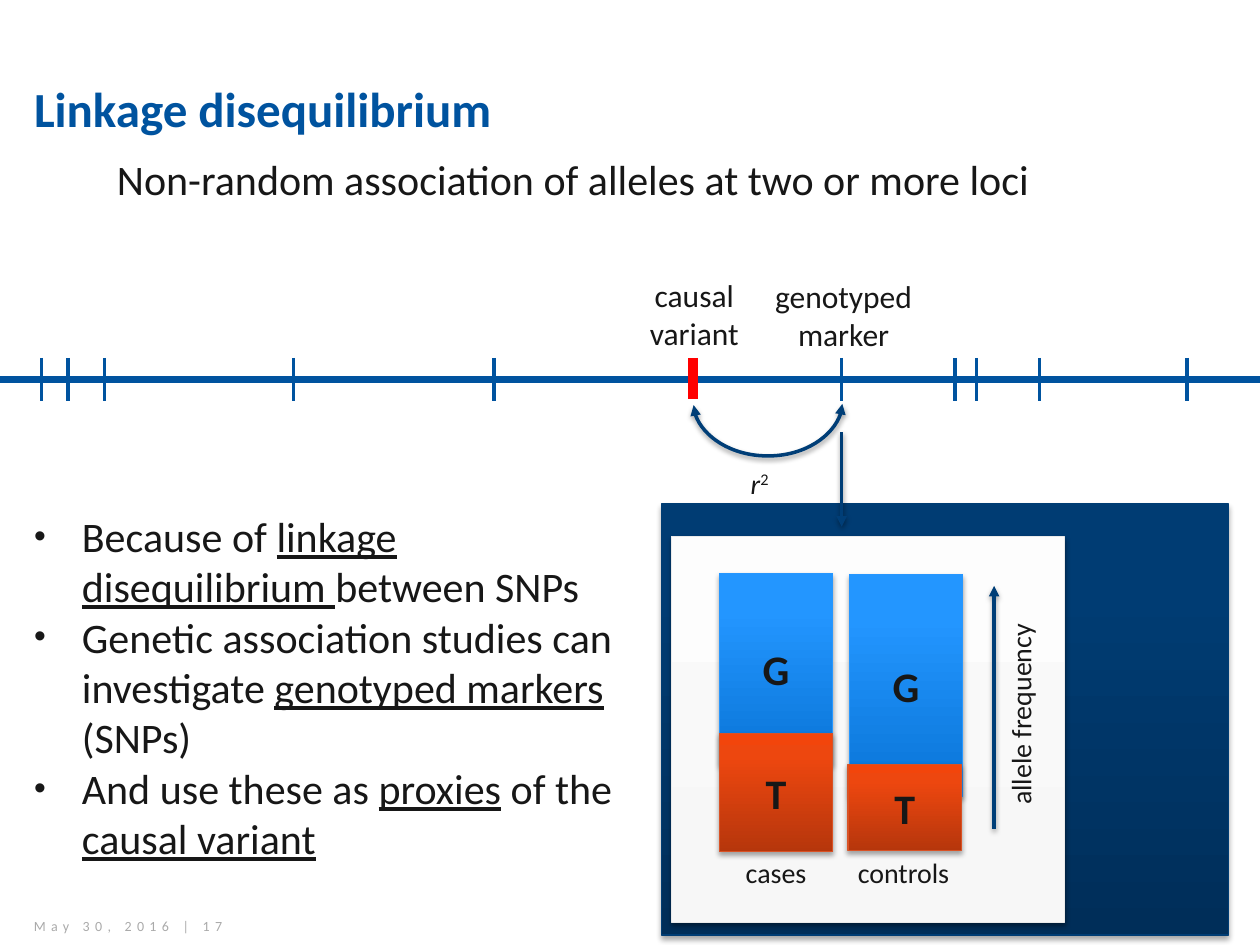
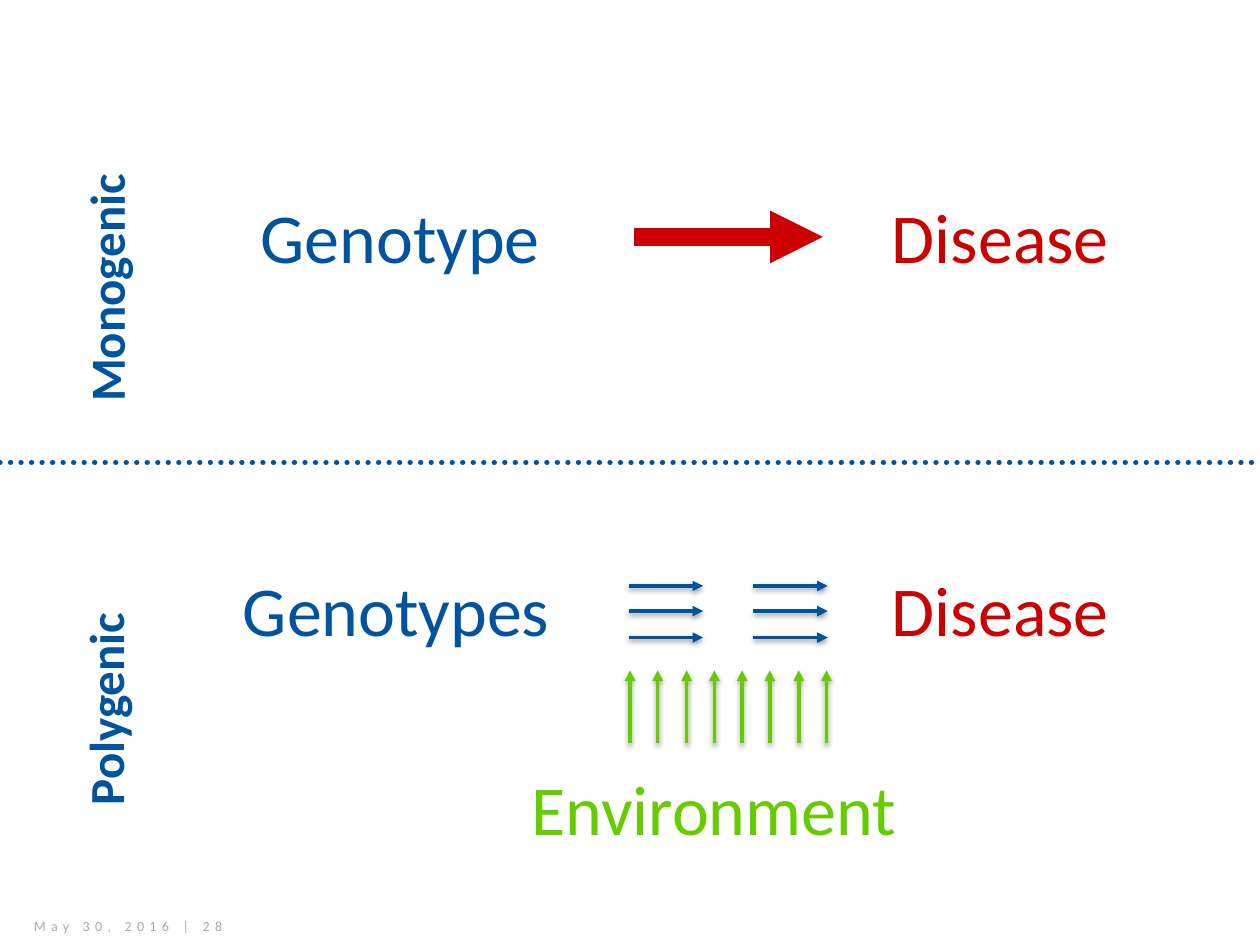
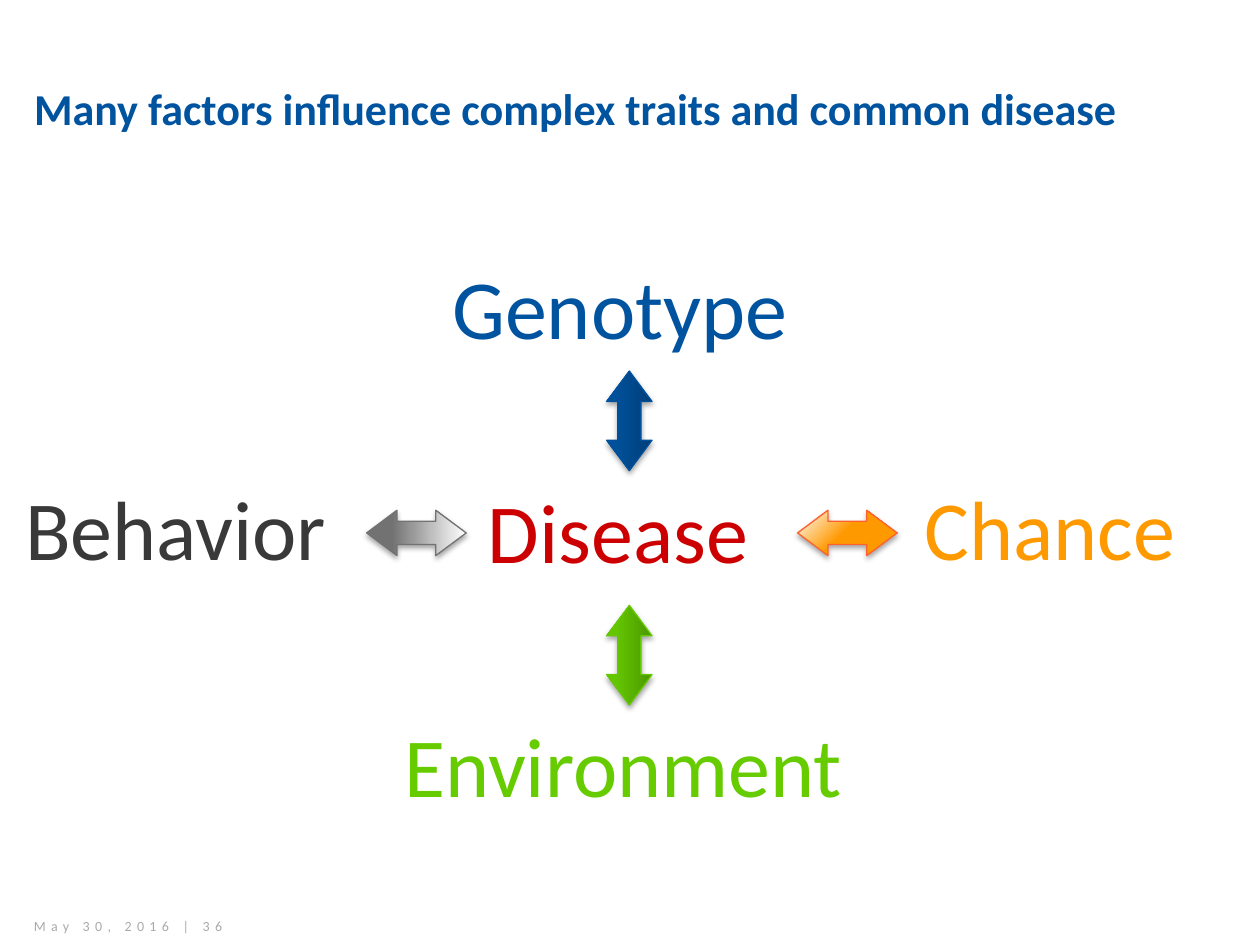
from dataclasses import dataclass, replace
from typing import NamedTuple

from lxml import etree
from pptx import Presentation
from pptx.dml.color import RGBColor
from pptx.enum.dml import MSO_LINE
from pptx.enum.shapes import MSO_CONNECTOR, MSO_SHAPE
from pptx.enum.text import MSO_ANCHOR, MSO_AUTO_SIZE, PP_ALIGN
from pptx.oxml.ns import qn
from pptx.util import Pt

PX = 9144  # EMU in one px, 100 px to the inch
WIDE, HIGH = 1000, 750
FACE = "Calibri"

RECT, ARROW = MSO_SHAPE.RECTANGLE, MSO_SHAPE.LEFT_RIGHT_ARROW
LINE, CURVE = MSO_CONNECTOR.STRAIGHT, MSO_CONNECTOR.CURVE
DOTS = MSO_LINE.ROUND_DOT
LEFT, CENTER = PP_ALIGN.LEFT, PP_ALIGN.CENTER
TOP, MIDDLE = MSO_ANCHOR.TOP, MSO_ANCHOR.MIDDLE
FIXED, GROW = MSO_AUTO_SIZE.NONE, MSO_AUTO_SIZE.SHAPE_TO_FIT_TEXT

BLUE = RGBColor(0x00, 0x53, 0x9F)
NAVY = RGBColor(0x00, 0x3E, 0x77)
EDGE = RGBColor(0x00, 0x3D, 0x74)
INK = RGBColor(0x17, 0x17, 0x17)
COAL = RGBColor(0x39, 0x39, 0x39)
GREY = RGBColor(0xAA, 0xAA, 0xAA)
STEEL = RGBColor(0x72, 0x72, 0x72)
PALE = RGBColor(0xEA, 0xEA, 0xEA)
WHITE = RGBColor(0xFF, 0xFF, 0xFF)
RED = RGBColor(0xCC, 0x00, 0x00)
CAUSE = RGBColor(0xFF, 0x00, 0x00)
GREEN = RGBColor(0x66, 0xCC, 0x00)
LIME = RGBColor(0x64, 0xC8, 0x00)
GOLD = RGBColor(0xFF, 0x99, 0x00)
CORAL = RGBColor(0xFE, 0x61, 0x2D)
SKY = RGBColor(0x26, 0x97, 0xFF)
RUST = RGBColor(0xD9, 0x52, 0x25)
COBALT = RGBColor(0x00, 0x51, 0x9B)


class Box(NamedTuple):
    x: int
    y: int
    w: int
    h: int

    def emu(self) -> list[int]:
        return [side * PX for side in self]


@dataclass(frozen=True)
class Run:
    text: str
    size: float = 24
    color: RGBColor = INK
    bold: bool = False
    slant: bool = False
    under: bool = False
    space: int = 0  # hundredths of a point
    lift: int = 0  # percent above the baseline


class Shade(NamedTuple):
    stops: list[tuple[int, RGBColor]]
    edge: RGBColor
    angle: int = 270
    round: bool = False


class Shadow(NamedTuple):
    alpha: int
    gap: float


class Label(NamedTuple):
    box: Box
    runs: list[Run]
    align: PP_ALIGN = LEFT
    anchor: MSO_ANCHOR = TOP
    wrap: bool = False
    fit: MSO_AUTO_SIZE = GROW
    turn: int = 0
    inset: int = 10


def ramp(low: str, mid: str, high: str, edge: RGBColor, bend: int = 80) -> Shade:
    tones = zip((0, bend, 100), (low, mid, high))
    return Shade([(pos, RGBColor.from_string(tone)) for pos, tone in tones], edge)


NIGHT = ramp("002E59", "003C73", "003C74", EDGE)
PAPER = ramp("F7F7F7", "F9F9F9", "FDFDFD", PALE, 35)
WATER = ramp("0974D6", "2396FF", "2496FF", SKY)
FIRE = ramp("B6360C", "ED470F", "F2450B", RUST)
DEEP = ramp("003E77", "00509A", "00519B", COBALT)
GRASS = ramp("4C9800", "63C600", "63C700", LIME)
SMOKE = Shade([(25, STEEL), (100, WHITE)], STEEL, 0)
SUN = Shade([(52, GOLD), (100, WHITE)], CORAL, round=True)
SOLID, SOFT = Shadow(35, 1.8), Shadow(38, 1.6)


# XML parts
def sub(node, tag: str, **attrs):
    return etree.SubElement(node, qn(tag), {key: str(val) for key, val in attrs.items()})


def tint(node, color: RGBColor):
    return sub(node, "a:srgbClr", val=color)


def cast(shape, shadow: Shadow | None) -> None:
    list_ = sub(shape._element.spPr, "a:effectLst")
    if shadow:
        outer = sub(list_, "a:outerShdw", blurRad=Pt(3.1), dist=Pt(shadow.gap),
                    dir=90 * 60000, rotWithShape=0)
        sub(tint(outer, RGBColor(0, 0, 0)), "a:alpha", val=shadow.alpha * 1000)


def blend(shape, shade: Shade) -> None:
    fill = etree.Element(qn("a:gradFill"), rotWithShape="1")
    stops = sub(fill, "a:gsLst")
    for pos, color in shade.stops:
        tint(sub(stops, "a:gs", pos=pos * 1000), color)
    if shade.round:
        sub(sub(fill, "a:path", path="circle"), "a:fillToRect", l=100000, t=100000)
    else:
        sub(fill, "a:lin", ang=shade.angle * 60000, scaled=0)
    shape._element.spPr.find(qn("a:prstGeom")).addnext(fill)


# Text
def write(para, runs: list[Run], align: PP_ALIGN = LEFT) -> None:
    para.alignment = align
    for item in runs:
        if item.text == "\n":
            para.add_line_break()
            continue
        run = para.add_run()
        run.text = item.text
        font = run.font
        font.name, font.size = FACE, Pt(item.size)
        font.bold, font.italic, font.underline = item.bold, item.slant, item.under
        font.color.rgb = item.color
        props = run._r.get_or_add_rPr()
        if item.space:
            props.set("spc", str(item.space))
        if item.lift:
            props.set("baseline", str(item.lift * 1000))


def label(slide, item: Label):
    shape = slide.shapes.add_textbox(*item.box.emu())
    shape.rotation = item.turn
    frame = shape.text_frame
    frame.word_wrap, frame.auto_size = item.wrap, item.fit
    frame.vertical_anchor = item.anchor
    frame.margin_left = frame.margin_right = item.inset * PX
    frame.margin_top = frame.margin_bottom = min(item.inset, 5) * PX
    write(frame.paragraphs[0], item.runs, item.align)
    return shape


def place(shape, box: Box):
    shape.left, shape.top, shape.width, shape.height = box.emu()
    shape.text_frame.auto_size = FIXED
    return shape.text_frame


def title(slide, text: str, size: float = 28) -> None:
    frame = place(slide.shapes.title, Box(17, 38, 883, 95))
    frame.vertical_anchor = MIDDLE
    write(frame.paragraphs[0], [Run(text, size, BLUE, bold=True)])


def points(slide, rows: list[list[Run]]) -> None:
    frame = place(slide.placeholders[1], Box(17, 400, 500, 350))
    for num, runs in enumerate(rows):
        para = frame.add_paragraph() if num else frame.paragraphs[0]
        props = para._p.get_or_add_pPr()
        props.set("marL", str(38 * PX))
        props.set("indent", str(-38 * PX))
        sub(props, "a:buSzPct", val=80000)
        sub(props, "a:buChar", char="•")
        para.space_before = Pt(0)
        write(para, runs)


def footer(slide, page: int) -> None:
    text = Run(f"May 30, 2016 | {page}", 8, GREY, space=300)
    label(slide, Label(Box(17, 725, 256, 20), [text], anchor=MIDDLE, wrap=True, fit=FIXED))


# Shapes and lines
def block(slide, box: Box, shade: Shade, shadow: Shadow = SOLID, kind=RECT, turn: int = 0):
    shape = slide.shapes.add_shape(kind, *box.emu())
    shape.rotation = turn
    blend(shape, shade)
    shape.line.color.rgb, shape.line.width = shade.edge, Pt(0.75)
    cast(shape, shadow)
    return shape


def stroke(slide, start: tuple[int, int], end: tuple[int, int], color: RGBColor, width: int,
           head: bool = False, tail: bool = False, shadow: Shadow | None = None,
           kind=LINE):
    ends = [side * PX for side in (*start, *end)]
    wire = slide.shapes.add_connector(kind, *ends)
    wire.line.color.rgb, wire.line.width = color, Pt(width)
    edge = wire.line._get_or_add_ln()
    for tag, shown in (("a:headEnd", head), ("a:tailEnd", tail)):
        if shown:
            sub(edge, tag, type="triangle")
    cast(wire, shadow)
    return wire


def allele(slide, letter: str, box: Box, shade: Shade) -> None:
    frame = block(slide, box, shade).text_frame
    frame.word_wrap, frame.vertical_anchor = False, MIDDLE
    write(frame.paragraphs[0], [Run(letter, bold=True)], CENTER)


def linkage(deck) -> None:
    slide = deck.slides.add_slide(deck.slide_layouts[1])
    title(slide, "Linkage disequilibrium")
    footer(slide, 17)
    sub_ = label(slide, Label(Box(33, 117, 908, 50), [
        Run("Non-random association of alleles at two or more loci")], wrap=True))
    sub_.text_frame.paragraphs[0]._p.get_or_add_pPr().set("marL", str(50 * PX))

    # Allele bars
    block(slide, Box(525, 400, 450, 342), NIGHT)
    block(slide, Box(533, 426, 312, 306), PAPER, SOFT)
    for letter, box, shade in (
        ("G", Box(571, 455, 90, 152), WATER), ("T", Box(571, 582, 90, 94), FIRE),
        ("G", Box(674, 456, 90, 176), WATER), ("T", Box(673, 607, 90, 68), FIRE),
    ):
        allele(slide, letter, box, shade)
    for text, box, turn in (
        ("cases", Box(582, 674, 69, 37), 0),
        ("controls", Box(671, 674, 98, 37), 0),
        ("allele frequency", Box(727, 547, 166, 37), 270),
    ):
        label(slide, Label(box, [Run(text, 16)], turn=turn))
    stroke(slide, (789, 465), (789, 658), NAVY, 2, head=True, shadow=SOFT)

    # Link between the variant and the marker
    stroke(slide, (668, 343), (668, 418), NAVY, 2, tail=True, shadow=SOFT)
    label(slide, Label(Box(586, 365, 37, 37), [Run("r", 16, slant=True), Run("2", 16, lift=30)]))
    arc = stroke(slide, (609, 262), (610, 380), NAVY, 2, True, True, SOFT, CURVE)
    props = arc._element.spPr
    props.find(qn("a:xfrm")).set("rot", str(90 * 60000))
    geom = props.find(qn("a:prstGeom"))
    guides = geom.find(qn("a:avLst"))
    if guides is None:
        guides = sub(geom, "a:avLst")
    sub(guides, "a:gd", name="adj1", fmla=f"val {42 * 100000}")

    # Chromosome
    for box, words in (
        (Box(600, 215, 139, 70), ("genotyped", "\n", "marker")),
        (Box(492, 214, 118, 70), ("causal variant",)),
    ):
        runs = [Run(word, 18) for word in words]
        label(slide, Label(box, runs, CENTER, MIDDLE, wrap=True))
    stroke(slide, (0, 301), (WIDE, 301), BLUE, 4)
    for x in (33, 54, 83, 233, 392, 668, 758, 775, 825, 942):
        stroke(slide, (x, 284), (x, 318), BLUE, 2)
    stroke(slide, (550, 284), (550, 317), CAUSE, 6)

    # Summary
    points(slide, [
        [Run("Because of "), Run("linkage disequilibrium ", under=True), Run("between SNPs")],
        [Run("Genetic association studies can investigate "),
         Run("genotyped markers", under=True), Run(" (SNPs)")],
        [Run("And use these as "), Run("proxies", under=True), Run(" of the "),
         Run("causal variant", under=True)],
    ])


def models(deck) -> None:
    slide = deck.slides.add_slide(deck.slide_layouts[6])
    footer(slide, 28)

    # Words
    for text, box in (
        ("Monogenic", Box(-105, 200, 377, 57)), ("Polygenic", Box(-80, 504, 326, 117)),
    ):
        label(slide, Label(box, [Run(text, 28, BLUE, bold=True)], CENTER, MIDDLE,
                           wrap=True, fit=FIXED, turn=270))
    for text, color, x, y, w in (
        ("Disease", RED, 698, 149, 195), ("Genotype", BLUE, 197, 149, 246),
        ("Disease", RED, 698, 445, 195), ("Genotypes", BLUE, 183, 445, 267),
        ("Environment", GREEN, 412, 603, 315),
    ):
        label(slide, Label(Box(x, y, w, 77), [Run(text, 40, color)]))

    # Arrows
    stroke(slide, (503, 188), (653, 188), RED, 10, tail=True)
    for num in range(8):
        x = 500 + round(num * 156 / 7)
        stroke(slide, (x, 590), (x, 532), GREEN, 2, tail=True, shadow=SOFT)
    for x in (499, 598):
        for y in (465, 485, 506):
            stroke(slide, (x, y), (x + 59, y), BLUE, 2, tail=True, shadow=SOFT)
    rule = stroke(slide, (0, 367), (WIDE, 367), BLUE, 3)
    rule.line.dash_style = DOTS
    rule.line._get_or_add_ln().set("cap", "rnd")


def factors(deck) -> None:
    slide = deck.slides.add_slide(deck.slide_layouts[5])
    title(slide, "Many factors influence complex traits and common disease", 25.2)
    footer(slide, 36)
    base = Run("", 48)
    for text, color, x, y, w in (
        ("Disease", RED, 384, 378, 215), ("Genotype", BLUE, 356, 200, 275),
        ("Environment", GREEN, 318, 563, 366), ("Behavior", COAL, 17, 375, 248),
        ("Chance", GOLD, 731, 375, 207),
    ):
        run = replace(base, text=text, color=color)
        label(slide, Label(Box(x, y, w, 87), [run], inset=3))
    for x, y, shade, turn in (
        (633, 405, SUN, 0), (291, 405, SMOKE, 0), (460, 316, DEEP, 270), (460, 502, GRASS, 270),
    ):
        arrow = block(slide, Box(x, y, 79, 36), shade, kind=ARROW, turn=turn)
        arrow.adjustments[0], arrow.adjustments[1] = 0.51, 0.67


def main() -> None:
    deck = Presentation()
    deck.slide_width, deck.slide_height = WIDE * PX, HIGH * PX
    for build in (linkage, models, factors):
        build(deck)
    deck.save("out.pptx")


if __name__ == "__main__":
    main()
